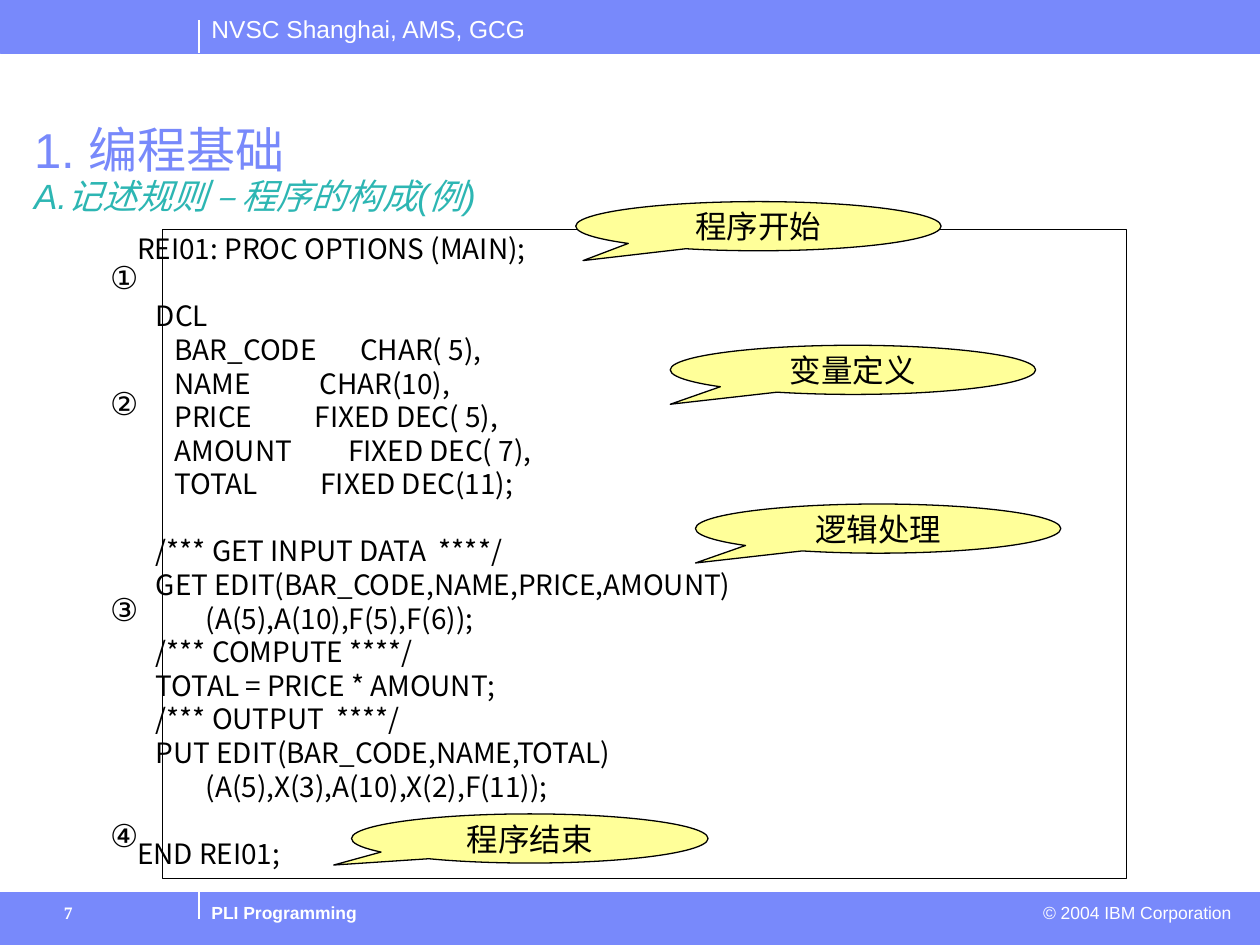
from dataclasses import dataclass

from lxml.etree import SubElement
from pptx import Presentation
from pptx.dml.color import RGBColor
from pptx.enum.shapes import MSO_CONNECTOR, MSO_SHAPE
from pptx.enum.text import MSO_ANCHOR, PP_ALIGN
from pptx.oxml.ns import qn
from pptx.slide import Slide
from pptx.text.text import _Paragraph as Paragraph
from pptx.util import Inches, Length, Pt


@dataclass(frozen=True)
class Theme:
    band: str = "7889FB"
    accent: str = "2DB6B3"
    callout: str = "FFFF99"
    ink: str = "000000"
    paper: str = "FFFFFF"
    sans: str = "Arial"
    serif: str = "Times New Roman"
    code: str = "Noto Sans CJK JP"
    title_size: float = 28
    subtitle_size: float = 20
    label_size: float = 18
    code_size: float = 16
    code_pitch: float = 19.2
    header_size: float = 14
    footer_size: float = 10
    thin: float = 0.75


@dataclass(frozen=True)
class Area:
    column: float
    row: float
    columns: float
    rows: float

    def lengths(self) -> tuple[Length, ...]:
        return tuple(grid(v) for v in (self.column, self.row, self.columns, self.rows))


@dataclass(frozen=True)
class Style:
    size: float
    color: str
    font: str = "Arial"
    bold: bool = False
    italic: bool = False


@dataclass(frozen=True)
class Label:
    text: str
    area: Area
    style: Style
    align: PP_ALIGN = PP_ALIGN.LEFT


@dataclass(frozen=True)
class Callout:
    text: str
    area: Area
    tip: tuple[float, float]


THEME = Theme()
COLUMNS, ROWS = 100, 75
BAND_ROWS = 4.2
DIVIDER_COLUMN = 15.8
FOOTER_ROW = 71.1

LABEL = Style(THEME.label_size, THEME.ink)
CODE = Style(THEME.code_size, THEME.ink, THEME.code)
FOOTER = Style(THEME.footer_size, THEME.paper)
FOOTER_BOLD = Style(THEME.footer_size, THEME.paper, bold=True)

FRAME_LABELS = [
    Label("NVSC Shanghai, AMS, GCG", Area(DIVIDER_COLUMN, 0.6, 28, 3.4),
          Style(THEME.header_size, THEME.paper)),
    Label("PLI Programming", Area(DIVIDER_COLUMN, FOOTER_ROW, 40, 2.7), FOOTER_BOLD),
    Label("© 2004 IBM Corporation", Area(62.2, FOOTER_ROW, 36.5, 2.7), FOOTER, PP_ALIGN.RIGHT),
    Label("7", Area(4.1, FOOTER_ROW, 7, 2.7),
          Style(THEME.footer_size, THEME.paper, THEME.serif, bold=True)),
]

STEPS = [
    Label(mark, Area(4, row, 11.7, 4), LABEL, PP_ALIGN.CENTER)
    for mark, row in zip("①②③④", (20, 30, 46.3, 64.3))
]

CALLOUTS = [
    Callout("程序开始", Area(45.7, 16, 29, 3.9), (-0.48, 0.7)),
    Callout("变量定义", Area(53.2, 27.4, 29, 3.9), (-0.5, 0.7)),
    Callout("逻辑处理", Area(55.2, 40, 29, 3.9), (-0.5, 0.7)),
    Callout("程序结束", Area(27.9, 64.6, 28.3, 3.9), (-0.55, 0.54)),
]

PROGRAM = """REI01: PROC OPTIONS (MAIN);

   DCL
      BAR_CODE       CHAR( 5),
      NAME           CHAR(10),
      PRICE          FIXED DEC( 5),
      AMOUNT         FIXED DEC( 7),
      TOTAL          FIXED DEC(11);

   /*** GET INPUT DATA  ****/
   GET EDIT(BAR_CODE,NAME,PRICE,AMOUNT)
           (A(5),A(10),F(5),F(6));
   /*** COMPUTE ****/
   TOTAL = PRICE * AMOUNT;
   /*** OUTPUT  ****/
   PUT EDIT(BAR_CODE,NAME,TOTAL)
           (A(5),X(3),A(10),X(2),F(11));

END REI01;"""


def grid(units: float) -> Length:
    return Inches(units / 10)


def add_run(paragraph: Paragraph, text: str, style: Style) -> None:
    run = paragraph.add_run()
    run.text = text
    run.font.name = style.font
    run.font.size = Pt(style.size)
    run.font.bold = style.bold
    run.font.italic = style.italic
    run.font.color.rgb = RGBColor.from_string(style.color)


def add_box(slide: Slide, kind: MSO_SHAPE, area: Area, fill: str | None, line: str, width: float):
    shape = slide.shapes.add_shape(kind, *area.lengths())
    shape.shadow.inherit = False
    if fill:
        shape.fill.solid()
        shape.fill.fore_color.rgb = RGBColor.from_string(fill)
    else:
        shape.fill.background()
    shape.line.color.rgb = RGBColor.from_string(line)
    shape.line.width = Pt(width)
    return shape


def add_divider(slide: Slide, top: float, bottom: float) -> None:
    column = grid(DIVIDER_COLUMN)
    line = slide.shapes.add_connector(MSO_CONNECTOR.STRAIGHT, column, grid(top), column, grid(bottom))
    line.line.color.rgb = RGBColor.from_string(THEME.paper)
    line.line.width = Pt(THEME.thin)
    SubElement(line._element.spPr, qn("a:effectLst"))


def add_label(slide: Slide, label: Label) -> None:
    frame = slide.shapes.add_textbox(*label.area.lengths()).text_frame
    frame.word_wrap = True
    paragraph = frame.paragraphs[0]
    paragraph.alignment = label.align
    add_run(paragraph, label.text, label.style)


def add_callout(slide: Slide, callout: Callout) -> None:
    shape = add_box(slide, MSO_SHAPE.OVAL_CALLOUT, callout.area, THEME.callout, THEME.ink, THEME.thin)
    shape.adjustments[0], shape.adjustments[1] = callout.tip
    frame = shape.text_frame
    frame.vertical_anchor = MSO_ANCHOR.MIDDLE
    paragraph = frame.paragraphs[0]
    paragraph.alignment = PP_ALIGN.CENTER
    add_run(paragraph, callout.text, LABEL)


def add_program(slide: Slide, area: Area) -> None:
    frame = slide.shapes.add_textbox(*area.lengths()).text_frame
    frame.word_wrap = True
    for index, block in enumerate(PROGRAM.split("\n\n")):
        for position, line in enumerate(block.split("\n")):
            first = index == position == 0
            paragraph = frame.paragraphs[0] if first else frame.add_paragraph()
            paragraph.line_spacing = Pt(THEME.code_pitch)
            if index and position == 0:
                paragraph.space_before = Pt(THEME.code_pitch)
            add_run(paragraph, line, CODE)


def format_title(slide: Slide, area: Area) -> None:
    title = slide.shapes.title
    title.left, title.top, title.width, title.height = area.lengths()
    frame = title.text_frame
    frame.word_wrap = True
    frame.vertical_anchor = MSO_ANCHOR.TOP
    paragraph = frame.paragraphs[0]
    paragraph.alignment = PP_ALIGN.LEFT
    paragraph.line_spacing = 0.9
    add_run(paragraph, "1. 编程基础", Style(THEME.title_size, THEME.band))
    paragraph.add_line_break()
    add_run(paragraph, "A.记述规则 – 程序的构成(例)",
            Style(THEME.subtitle_size, THEME.accent, italic=True))


def main() -> None:
    presentation = Presentation()
    presentation.slide_width, presentation.slide_height = grid(COLUMNS), grid(ROWS)
    slide = presentation.slides.add_slide(presentation.slide_layouts[5])
    for row in (ROWS - BAND_ROWS, 0):
        add_box(slide, MSO_SHAPE.RECTANGLE, Area(0, row, COLUMNS, BAND_ROWS),
                THEME.band, THEME.band, 0.25)
    add_divider(slide, 1.6, BAND_ROWS)
    add_divider(slide, ROWS - BAND_ROWS, 72.9)
    format_title(slide, Area(1.7, 9.5, 90.2, 5.5))
    add_box(slide, MSO_SHAPE.RECTANGLE, Area(12.9, 18.2, 76.5, 51.5), None, THEME.ink, THEME.thin)
    add_program(slide, Area(9.9, 17.9, 55.4, 51.7))
    for label in FRAME_LABELS + STEPS:
        add_label(slide, label)
    for callout in CALLOUTS:
        add_callout(slide, callout)
    presentation.save("out.pptx")


if __name__ == "__main__":
    main()
